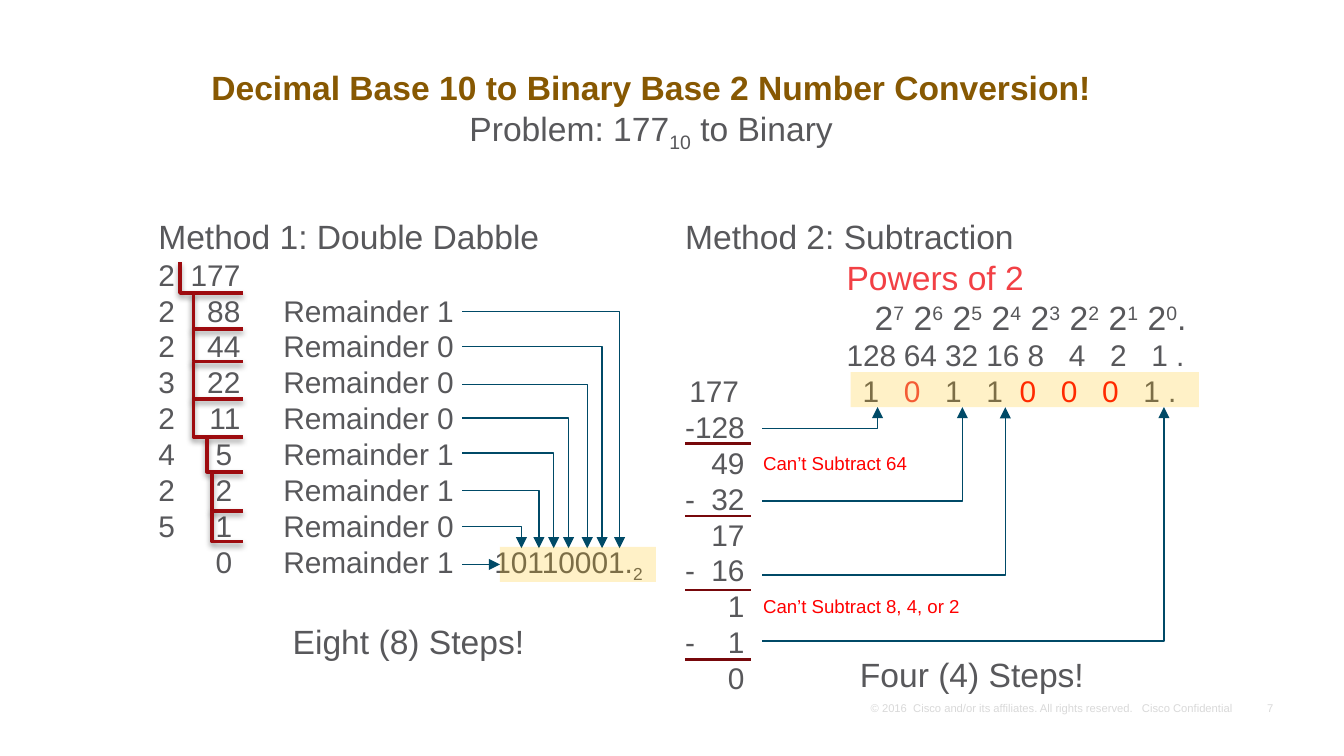
from lxml import etree
from pptx import Presentation
from pptx.dml.color import RGBColor
from pptx.enum.shapes import MSO_CONNECTOR as Connector, MSO_SHAPE as Shape
from pptx.enum.text import MSO_ANCHOR as Anchor, MSO_AUTO_SIZE as AutoSize, PP_ALIGN as Align
from pptx.oxml.ns import qn
from pptx.util import Inches, Pt

GREY, RED, CORAL, NAVY = "58585B", "FF0000", "F24045", "004A67"
SUBSCRIPT_LEADING = 1.37


def write(frame, text, size=16, color=GREY, bold=False, align=Align.LEFT,
          tabs=(), baseline=0, leading=1.2, same_line=False):
    """Add a paragraph, or continue the last one; tabs are (inches, "l" or "r")."""
    paragraph = frame.paragraphs[-1]
    if not same_line:
        if paragraph.runs:
            paragraph = frame.add_paragraph()
        if tabs:
            stops = etree.SubElement(paragraph._p.get_or_add_pPr(), qn("a:tabLst"))
            for position, side in tabs:
                etree.SubElement(stops, qn("a:tab"), pos=str(Inches(position)), algn=side)
        paragraph.alignment = align
        paragraph.line_spacing = Pt(size * leading)
        paragraph.space_before = Pt(0)
    run = paragraph.add_run()
    run.text = text
    run.font.name = "Arial"
    run.font.size = Pt(size)
    run.font.bold = bold
    run.font.color.rgb = RGBColor.from_string(color)
    if baseline:
        run.font._element.set("baseline", str(baseline * 1000))


def draw_line(start, end, color, width, bend=None, arrow=False, shadow=False):
    """Draw a line; bend is the share of its width at which an elbow turns."""
    kind = Connector.STRAIGHT if bend is None else Connector.ELBOW
    line = slide.shapes.add_connector(kind, *(Inches(v) for v in (*start, *end)))
    line.line.color.rgb = RGBColor.from_string(color)
    line.line.width = Pt(width)
    properties = line._element.spPr
    if bend is not None:
        guides = properties.find(qn("a:prstGeom")).find(qn("a:avLst"))
        etree.SubElement(guides, qn("a:gd"), name="adj1", fmla=f"val {round(bend * 100000)}")
    if arrow:
        etree.SubElement(properties.find(qn("a:ln")), qn("a:tailEnd"), type="triangle")
    effects = etree.SubElement(properties, qn("a:effectLst"))
    if shadow:
        outer = etree.SubElement(effects, qn("a:outerShdw"), blurRad=str(Pt(3.1)),
                                 dist=str(Pt(1.6)), dir="5400000", rotWithShape="0")
        black = etree.SubElement(outer, qn("a:srgbClr"), val="000000")
        etree.SubElement(black, qn("a:alpha"), val="38000")


deck = Presentation()
deck.slide_width, deck.slide_height = Inches(10), Inches(10) * 9 // 16
slide = deck.slides.add_slide(deck.slide_layouts[5])

# Title
title = slide.shapes.title
title.left, title.top, title.width, title.height = (
    Inches(v) for v in (1.44, 0.45, 6.81, 1.01))
heading = title.text_frame
heading.auto_size = AutoSize.NONE
heading.vertical_anchor = Anchor.TOP
write(heading, "Decimal Base 10 to Binary Base 2 Number Conversion!", 18, "875802",
      bold=True, align=Align.CENTER)
write(heading, "Problem: 177", 18, align=Align.CENTER, leading=SUBSCRIPT_LEADING)
write(heading, "10", 18, baseline=-25, same_line=True)
write(heading, " to Binary", 18, same_line=True)

# Method 1: divisor, quotient and remainder columns
division = slide.shapes.add_textbox(
    *(Inches(v) for v in (1.08, 1.56, 3.92, 2.83))).text_frame
division.word_wrap = True
write(division, "Method 1: Double Dabble", 18)
for divisor, quotient, remainder in (
        ("2", "177", ""), ("2", "88", "1"), ("2", "44", "0"), ("3", "22", "0"),
        ("2", "11", "0"), ("4", "5", "1"), ("2", "2", "1"), ("5", "1", "0"),
        ("", "0", "1")):
    quotient_edge = 0.61 if len(quotient) > 1 else 0.55
    row = f"{divisor}\t{quotient}"
    if remainder:
        row += f"\tRemainder {remainder}"
    write(division, row, tabs=((quotient_edge, "r"), (0.93, "l"), (2.5, "l")),
          leading=1.2 if divisor else SUBSCRIPT_LEADING)
write(division, "\t10110001.", same_line=True)
write(division, "2", baseline=-25, same_line=True)

step_lefts = (1.34, 1.44, 1.44, 1.44, 1.44, 1.54, 1.58, 1.58)
step_levels = (1.95, 2.18, 2.45, 2.69, 2.97, 3.25, 3.51, 3.8, 4.03)
for left, top, bottom in zip(step_lefts, step_levels, step_levels[1:]):
    draw_line((left, top), (1.81, bottom), "9E0B0F", 2, bend=0, shadow=True)

for remainder_y, digit_x in ((2.32, 4.61), (2.58, 4.48), (2.86, 4.37), (3.11, 4.23),
                             (3.37, 4.12), (3.65, 4.01), (3.92, 3.88)):
    draw_line((3.44, remainder_y), (digit_x, 4.08), NAVY, 0.75, bend=1, arrow=True)
draw_line((3.44, 4.2), (3.72, 4.2), NAVY, 0.75, arrow=True)

# Method 2: powers, place values and bits, then the subtractions
working = slide.shapes.add_textbox(
    *(Inches(v) for v in (5, 1.56, 3.92, 3.97))).text_frame
working.word_wrap = True
working.margin_right = 0
write(working, "Method 2: Subtraction", 18)
write(working, "\tPowers of 2", 18, CORAL, tabs=((1.2, "l"),))

power_tabs = [(1.41 + 0.29 * i, "l") for i in range(8)]
for i, power in enumerate(range(7, -1, -1)):
    write(working, "\t2", 18, tabs=power_tabs, same_line=i > 0)
    write(working, str(power), 18, baseline=30, same_line=True)
write(working, ".", 18, same_line=True)

columns = [1.32 + 0.307 * i for i in range(8)]
value_tabs = [(x, "l") for x in (1.2, *columns[1:])]
values = "".join(f"\t{2 ** power}" for power in range(7, -1, -1))
write(working, values + " .", tabs=value_tabs)

bit_tabs = [(0.4, "r")] + [(x if i < 4 else x - 0.06, "l") for i, x in enumerate(columns)]
write(working, "\t177", tabs=bit_tabs)
for bit, color in zip("10110001", (GREY, CORAL, GREY, GREY, RED, RED, RED, GREY)):
    write(working, f"\t{bit}", color=color, same_line=True)
write(working, " .", same_line=True)

for row in ("-128", "\t49", "-\t32", "\t17", "-\t16", "\t1", "-\t1", "\t0"):
    write(working, row, tabs=((0.44, "r"),))

for sum_y in (3.3, 3.84, 4.39, 4.91):
    draw_line((5.1, sum_y), (5.59, sum_y), "77080B", 1.5)
for subtracted_y, bit_x in ((3.19, 6.53), (3.73, 7.16), (4.28, 7.48), (4.77, 8.66)):
    draw_line((5.67, subtracted_y), (bit_x, 3.03), NAVY, 0.75, bend=1, arrow=True)

# Step counts, remarks and footer
for text, box, size, color in (
        ("Eight (8) Steps!", (2.08, 4.57, 1.94, 0.4), 18, GREY),
        ("Four (4) Steps!", (6.3, 4.82, 1.88, 0.4), 18, GREY),
        ("Can’t Subtract 64", (5.58, 3.31, 1.28, 0.27), 10, RED),
        ("Can’t Subtract 8, 4, or 2", (5.58, 4.38, 1.67, 0.27), 10, RED),
        ("© 2016  Cisco and/or its affiliates. All rights reserved.   Cisco Confidential",
         (6.38, 5.17, 2.91, 0.2), 6, "D9D9D9"),
        ("7", (9.33, 5.17, 0.3, 0.2), 6, "D9D9D9")):
    label = slide.shapes.add_textbox(*(Inches(v) for v in box)).text_frame
    label.word_wrap = False
    write(label, text, size, color)

# Highlights over the two binary results
for box in ((6.33, 2.77, 2.59, 0.26), (3.72, 4.07, 1.16, 0.26)):
    highlight = slide.shapes.add_shape(Shape.RECTANGLE, *(Inches(v) for v in box))
    highlight.shadow.inherit = False
    highlight.line.fill.background()
    highlight.fill.solid()
    highlight.fill.fore_color.rgb = RGBColor.from_string("FFC000")
    tint = highlight._element.spPr.find(qn("a:solidFill")).find(qn("a:srgbClr"))
    etree.SubElement(tint, qn("a:alpha"), val="22000")

deck.save("out.pptx")
